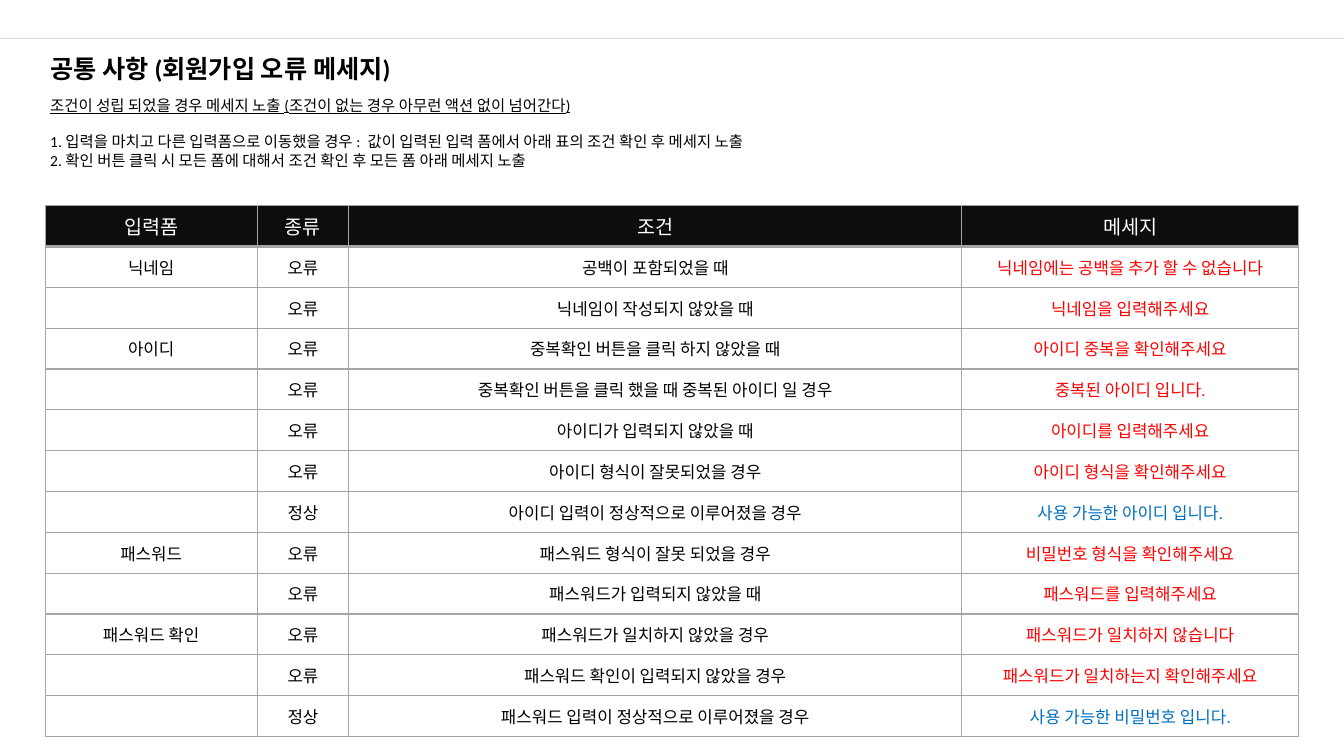
from typing import NamedTuple

from lxml.etree import SubElement
from pptx import Presentation
from pptx.dml.color import RGBColor
from pptx.enum.shapes import MSO_CONNECTOR
from pptx.enum.text import MSO_ANCHOR, PP_ALIGN
from pptx.oxml.ns import qn
from pptx.util import Inches, Pt

FONT = "Calibri"
BLACK, WHITE, HEADER_FILL = "000000", "FFFFFF", "0D0D0D"
RULE, BORDER = "D9D9D9", "A5A5A5"
ERROR, NORMAL = "오류", "정상"
MESSAGE_COLORS = {ERROR: "FF0000", NORMAL: "0070C0"}


class Check(NamedTuple):
    """One validation rule: its kind, its condition and the message shown."""
    kind: str
    condition: str
    message: str


HEADINGS = ("입력폼", "종류", "조건", "메세지")
COLUMN_WIDTHS = (2.1, 0.91, 6.08, 3.34)
CHECKS = {
    "닉네임": [
        Check(ERROR, "공백이 포함되었을 때", "닉네임에는 공백을 추가 할 수 없습니다"),
        Check(ERROR, "닉네임이 작성되지 않았을 때", "닉네임을 입력해주세요"),
    ],
    "아이디": [
        Check(ERROR, "중복확인 버튼을 클릭 하지 않았을 때", "아이디 중복을 확인해주세요"),
        Check(ERROR, "중복확인 버튼을 클릭 했을 때 중복된 아이디 일 경우", "중복된 아이디 입니다."),
        Check(ERROR, "아이디가 입력되지 않았을 때", "아이디를 입력해주세요"),
        Check(ERROR, "아이디 형식이 잘못되었을 경우", "아이디 형식을 확인해주세요"),
        Check(NORMAL, "아이디 입력이 정상적으로 이루어졌을 경우", "사용 가능한 아이디 입니다."),
    ],
    "패스워드": [
        Check(ERROR, "패스워드 형식이 잘못 되었을 경우", "비밀번호 형식을 확인해주세요"),
        Check(ERROR, "패스워드가 입력되지 않았을 때", "패스워드를 입력해주세요"),
    ],
    "패스워드 확인": [
        Check(ERROR, "패스워드가 일치하지 않았을 경우", "패스워드가 일치하지 않습니다"),
        Check(ERROR, "패스워드 확인이 입력되지 않았을 경우", "패스워드가 일치하는지 확인해주세요"),
        Check(NORMAL, "패스워드 입력이 정상적으로 이루어졌을 경우", "사용 가능한 비밀번호 입니다."),
    ],
}
INTRO = (
    "조건이 성립 되었을 경우 메세지 노출 (조건이 없는 경우 아무런 액션 없이 넘어간다)",
    "1. 입력을 마치고 다른 입력폼으로 이동했을 경우 :  값이 입력된 입력 폼에서 아래 표의 조건 확인 후 메세지 노출",
    "2. 확인 버튼 클릭 시 모든 폼에 대해서 조건 확인 후 모든 폼 아래 메세지 노출",
)


def rgb(color: str) -> RGBColor:
    """Turn a hex string into a colour."""
    return RGBColor.from_string(color)


def format_runs(paragraph, size: float, color: str = BLACK, bold: bool = False,
                underline: bool = False) -> None:
    """Give every run of a paragraph the same font."""
    for run in paragraph.runs:
        font = run.font
        font.name, font.size, font.bold, font.underline = FONT, Pt(size), bold, underline
        font.color.rgb = rgb(color)


def add_rule(slide, top: float, width: int) -> None:
    """Draw the thin line across the top of the slide."""
    rule = slide.shapes.add_connector(
        MSO_CONNECTOR.STRAIGHT, 0, Inches(top), width, Inches(top))
    rule.line.color.rgb = rgb(RULE)
    rule.line.width = Pt(0.5)
    SubElement(rule._element.spPr, qn("a:effectLst"))


def set_title(slide, text: str) -> None:
    """Place and format the title placeholder."""
    title = slide.shapes.title
    title.left, title.top = Inches(0.4), Inches(0.48)
    title.width, title.height = Inches(3.93), Inches(0.4)
    title.text_frame.text = text
    title.text_frame.vertical_anchor = MSO_ANCHOR.TOP
    heading = title.text_frame.paragraphs[0]
    heading.alignment = PP_ALIGN.LEFT
    heading.line_spacing = 1.0
    heading.space_before = Pt(0)
    format_runs(heading, 18, bold=True)


def add_intro(slide) -> None:
    """Write the underlined summary and the two numbered cases."""
    frame = slide.shapes.add_textbox(
        Inches(0.4), Inches(0.9), Inches(7.66), Inches(0.84)).text_frame
    frame.word_wrap = True
    frame.text = "\n".join(INTRO)
    summary, *cases = frame.paragraphs
    format_runs(summary, 11, underline=True)
    summary.space_after = Pt(13)
    for case in cases:
        format_runs(case, 11)


def set_borders(cell, top: float = 1, bottom: float = 1) -> None:
    """Outline a cell, with line widths in points."""
    properties = cell._tc.get_or_add_tcPr()
    for side, width in (("L", 1), ("R", 1), ("T", top), ("B", bottom)):
        line = SubElement(properties, qn(f"a:ln{side}"), w=str(Pt(width)))
        SubElement(SubElement(line, qn("a:solidFill")), qn("a:srgbClr"), val=BORDER)


def fill_cell(cell, text: str, size: float, color: str, fill: str) -> None:
    """Write centred text in a filled cell."""
    cell.text_frame.text = text
    cell.vertical_anchor = MSO_ANCHOR.MIDDLE
    cell.margin_top = cell.margin_bottom = Inches(0.03)
    cell.fill.solid()
    cell.fill.fore_color.rgb = rgb(fill)
    paragraph = cell.text_frame.paragraphs[0]
    paragraph.alignment = PP_ALIGN.CENTER
    format_runs(paragraph, size, color)


def add_check_table(slide) -> None:
    """Draw the table, naming each form only on its first row."""
    rows = [(form if index == 0 else "", *check)
            for form, checks in CHECKS.items() for index, check in enumerate(checks)]
    table = slide.shapes.add_table(
        len(rows) + 1, len(HEADINGS), Inches(0.45), Inches(2.04),
        Inches(sum(COLUMN_WIDTHS)), Inches(5.27)).table
    for column, width in zip(table.columns, COLUMN_WIDTHS):
        column.width = Inches(width)
    for column, heading in enumerate(HEADINGS):
        cell = table.cell(0, column)
        set_borders(cell, bottom=2)
        fill_cell(cell, heading, 14, WHITE, HEADER_FILL)
    for number, row in enumerate(rows, start=1):
        colors = (BLACK, BLACK, BLACK, MESSAGE_COLORS[row[1]])
        for column, (text, color) in enumerate(zip(row, colors)):
            cell = table.cell(number, column)
            set_borders(cell, top=2 if number == 1 else 1)
            fill_cell(cell, text, 12, color, WHITE)


def main() -> None:
    """Build the slide and save it."""
    deck = Presentation()
    deck.slide_width, deck.slide_height = Inches(13.33), Inches(7.5)
    slide = deck.slides.add_slide(deck.slide_layouts.get_by_name("Title Only"))
    add_rule(slide, 0.38, deck.slide_width)
    set_title(slide, "공통 사항 (회원가입 오류 메세지)")
    add_check_table(slide)
    add_intro(slide)
    deck.save("out.pptx")


main()
